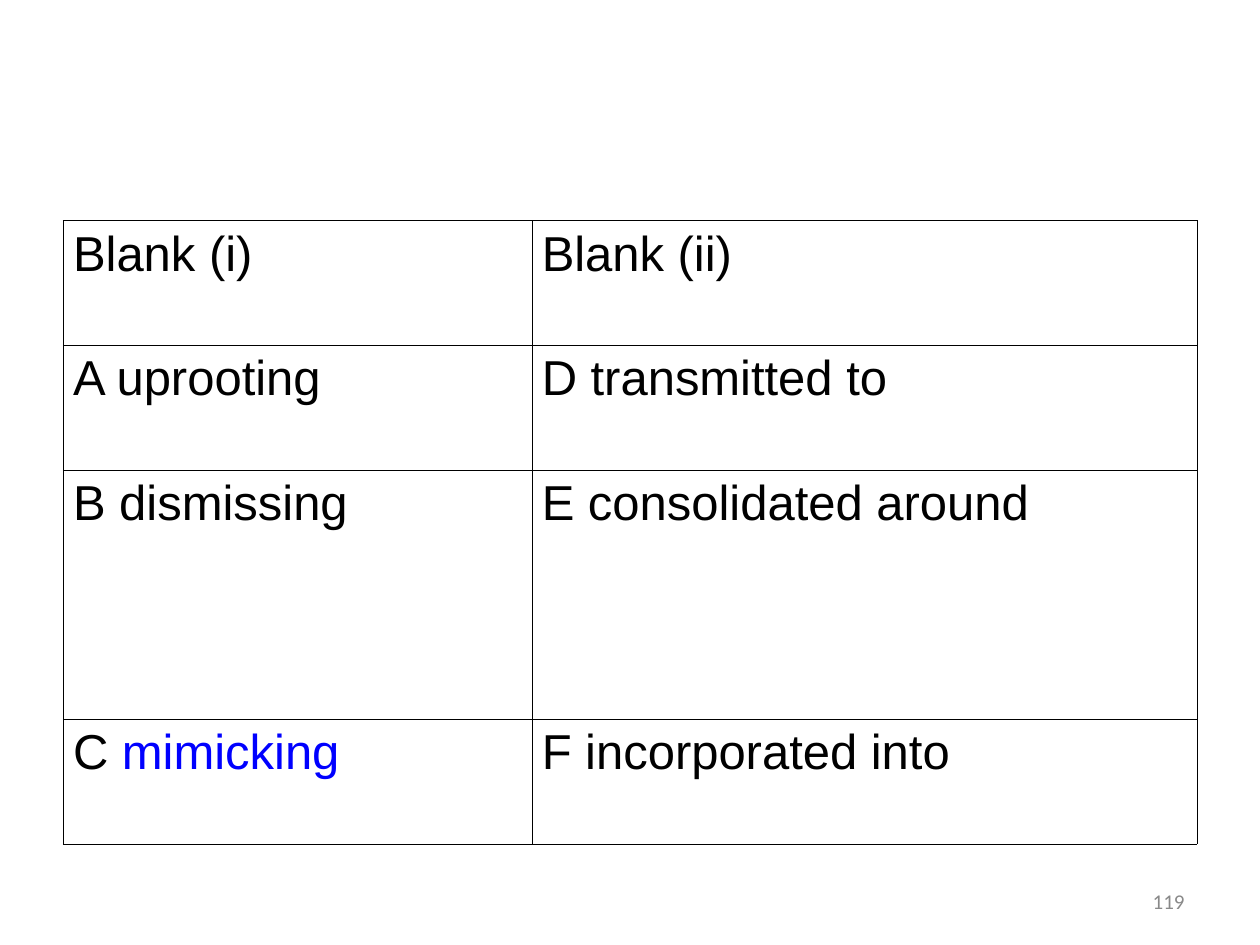
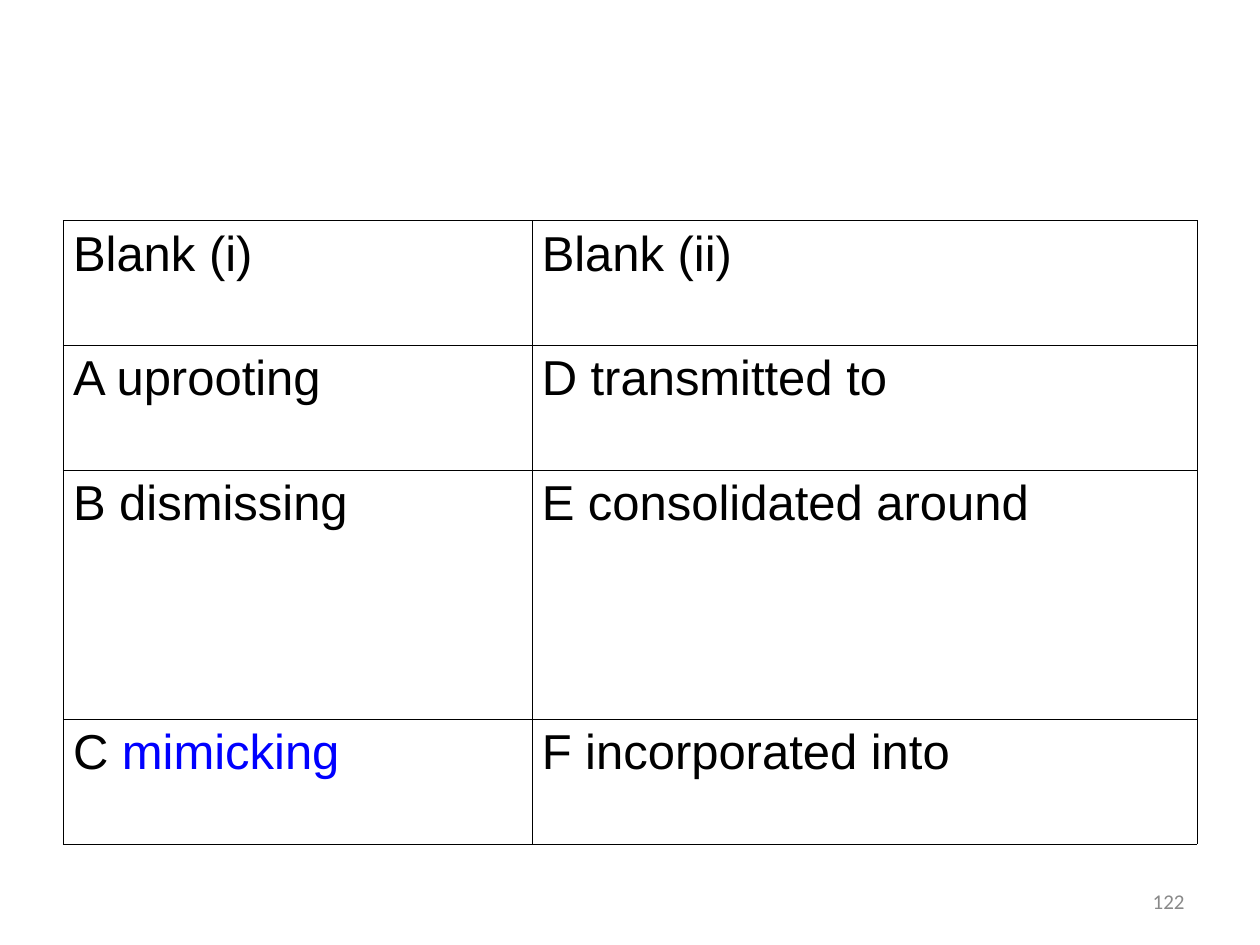
from dataclasses import dataclass

from lxml.etree import SubElement
from pptx import Presentation
from pptx.dml.color import RGBColor
from pptx.enum.text import MSO_ANCHOR, PP_ALIGN
from pptx.oxml.ns import qn
from pptx.util import Inches, Pt

BLACK = "000000"
BLUE = "0000FF"
GREY = "898989"
WHITE = "FFFFFF"
COLUMN_WIDTHS = (3.72, 5.28)
ROW_HEIGHTS = (0.99, 0.99, 1.98, 0.99)
BORDER_SIDES = ("a:lnL", "a:lnR", "a:lnT", "a:lnB")
BORDER_WIDTH = Pt(0.11)


@dataclass(frozen=True)
class Span:
    text: str
    color: str = BLACK


@dataclass(frozen=True)
class QuestionSlide:
    number: int
    rows: tuple[tuple[tuple[Span, ...], ...], ...]


CHOICES = (
    ((Span("Blank (i)"),), (Span("Blank (ii)"),)),
    ((Span("A uprooting"),), (Span("D transmitted to"),)),
    ((Span("B dismissing"),), (Span("E consolidated around"),)),
    ((Span("C "), Span("mimicking", BLUE)), (Span("F incorporated into"),)),
)
SLIDES = (QuestionSlide(119, CHOICES), QuestionSlide(122, CHOICES))


def rgb(color: str) -> RGBColor:
    return RGBColor.from_string(color)


def write_paragraph(p, spans: tuple[Span, ...], font: str, size: int, align) -> None:
    p.alignment = align
    p.font.name = font
    p.font.size = Pt(size)
    for span in spans:
        r = p.add_run()
        r.text = span.text
        r.font.color.rgb = rgb(span.color)


def add_borders(cell) -> None:
    props = cell._tc.get_or_add_tcPr()
    for index, side in enumerate(BORDER_SIDES):
        line = props.makeelement(qn(side), {"w": str(BORDER_WIDTH)})
        fill = SubElement(line, qn("a:solidFill"))
        SubElement(fill, qn("a:srgbClr"), val=BLACK)
        props.insert(index, line)


def add_choices(s, rows: tuple[tuple[tuple[Span, ...], ...], ...]) -> None:
    frame = s.shapes.add_table(
        len(ROW_HEIGHTS), len(COLUMN_WIDTHS), Inches(0.5), Inches(1.75),
        Inches(sum(COLUMN_WIDTHS)), Inches(sum(ROW_HEIGHTS)),
    )
    table = frame.table
    table.first_row = table.horz_banding = False
    for column, width in zip(table.columns, COLUMN_WIDTHS):
        column.width = Inches(width)
    for row, height, entries in zip(table.rows, ROW_HEIGHTS, rows):
        row.height = Inches(height)
        for cell, spans in zip(row.cells, entries):
            cell.margin_left = cell.margin_right = Inches(0.08)
            cell.margin_top = cell.margin_bottom = Inches(0.05)
            cell.fill.solid()
            cell.fill.fore_color.rgb = rgb(WHITE)
            add_borders(cell)
            p = cell.text_frame.paragraphs[0]
            write_paragraph(p, spans, "Arial", 28, PP_ALIGN.JUSTIFY)


def add_slide_number(s, number: int) -> None:
    box = s.shapes.add_textbox(Inches(7.17), Inches(6.95), Inches(2.33), Inches(0.4))
    tf = box.text_frame
    tf.word_wrap = True
    tf.vertical_anchor = MSO_ANCHOR.MIDDLE
    label = (Span(str(number), GREY),)
    write_paragraph(tf.paragraphs[0], label, "Calibri", 12, PP_ALIGN.RIGHT)


def main() -> None:
    prs = Presentation()
    prs.slide_width = Inches(10)
    prs.slide_height = Inches(7.5)
    for question in SLIDES:
        s = prs.slides.add_slide(prs.slide_layouts[6])
        add_slide_number(s, question.number)
        add_choices(s, question.rows)
    prs.save("out.pptx")


if __name__ == "__main__":
    main()
